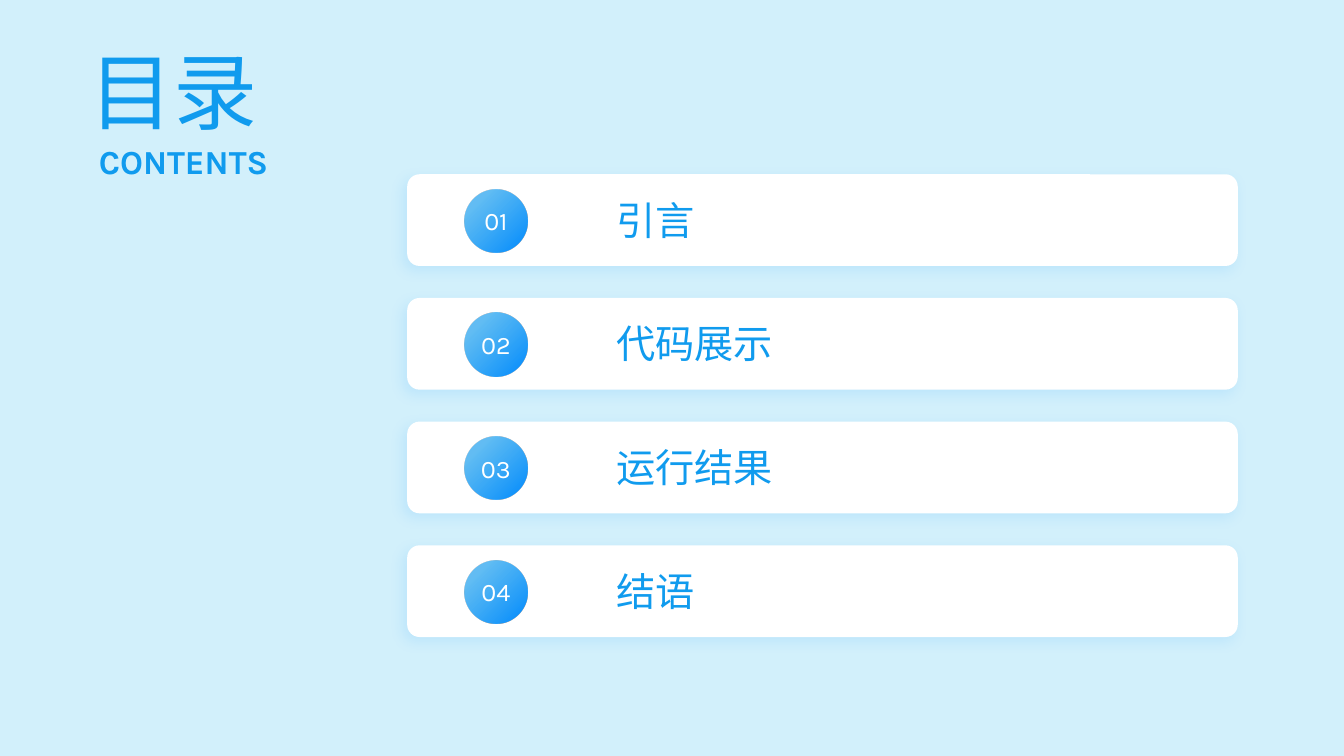
from lxml.etree import SubElement
from pptx import Presentation
from pptx.dml.color import RGBColor
from pptx.enum.shapes import MSO_SHAPE
from pptx.enum.text import MSO_ANCHOR, MSO_AUTO_SIZE, PP_ALIGN
from pptx.oxml import parse_xml
from pptx.oxml.ns import nsdecls, qn
from pptx.util import Inches, Pt

COLORS = {"sky": "D2F0FB", "azure": "109BEE", "blue": "018AFF", "white": "FFFFFF"}
FONT = "Karla"
CHAPTERS = ["引言", "代码展示", "运行结果", "结语"]

# Card grid, in hundredths of the slide's height
FIRST_ROW, ROW_STEP = 23.05, 16.36


class ContentsPage:
    """Holds the style and the current slide; places are in percent of its size."""

    def __init__(self, deck):
        self.column = deck.slide_width / 100
        self.row = deck.slide_height / 100
        self.page = deck.slides.add_slide(deck.slide_layouts[5])
        background = self.page.background.fill
        background.solid()
        background.fore_color.rgb = RGBColor.from_string(COLORS["sky"])

    def place(self, left, top, width, height):
        return (round(left * self.column), round(top * self.row),
                round(width * self.column), round(height * self.row))

    def set_text(self, box, text, size, anchor=MSO_ANCHOR.MIDDLE,
                 align=PP_ALIGN.LEFT, color=None, bold=False, wrap=True):
        frame = box.text_frame
        frame.margin_left = frame.margin_right = 0
        frame.margin_top = frame.margin_bottom = 0
        frame.auto_size = MSO_AUTO_SIZE.NONE
        frame.word_wrap = wrap
        frame.vertical_anchor = anchor
        para = frame.paragraphs[0]
        para.alignment = align
        span = para.add_run()
        span.text = text
        span.font.name = FONT
        span.font.size = Pt(size)
        span.font.bold = bold
        if color:
            span.font.color.rgb = RGBColor.from_string(COLORS[color])
        else:
            fill = span.font.fill
            fill.gradient()
            fill.gradient_angle = 270
            for stop, name in zip(fill.gradient_stops, ("azure", "blue")):
                stop.color.rgb = RGBColor.from_string(COLORS[name])
        return para

    def title(self, text, *area):
        box = self.page.shapes.title
        box.left, box.top, box.width, box.height = self.place(*area)
        para = self.set_text(box, text, 60, anchor=MSO_ANCHOR.BOTTOM)
        para.line_spacing = 0.9
        para.space_after = Pt(12)

    def label(self, text, size, *area, **style):
        box = self.page.shapes.add_textbox(*self.place(*area))
        self.set_text(box, text, size, **style)

    def card(self, *area):
        box = self.page.shapes.add_shape(MSO_SHAPE.ROUNDED_RECTANGLE, *self.place(*area))
        box.adjustments[0] = 0.134
        box.fill.solid()
        box.fill.fore_color.rgb = RGBColor.from_string(COLORS["white"])
        box.line.fill.background()
        # Soft blue shadow to the lower left
        box.shadow.inherit = False
        effects = box._element.spPr.find(qn("a:effectLst"))
        shadow = SubElement(effects, qn("a:outerShdw"), blurRad=str(Pt(9)),
                            dist=str(Pt(4)), dir="8100000", algn="tr", rotWithShape="0")
        color = SubElement(shadow, qn("a:srgbClr"), val=COLORS["blue"])
        SubElement(color, qn("a:alpha"), val="10000")

    def badge(self, text, *area):
        box = self.page.shapes.add_shape(MSO_SHAPE.OVAL, *self.place(*area))
        box.shadow.inherit = False
        box.line.fill.background()
        # Radial gradient that starts in the top left corner
        gradient = parse_xml(
            f'<a:gradFill {nsdecls("a")} rotWithShape="1"><a:gsLst>'
            f'<a:gs pos="20000"><a:srgbClr val="{COLORS["azure"]}">'
            '<a:alpha val="65000"/></a:srgbClr></a:gs>'
            f'<a:gs pos="100000"><a:srgbClr val="{COLORS["blue"]}"/></a:gs></a:gsLst>'
            '<a:path path="circle"><a:fillToRect r="100000" b="100000"/></a:path>'
            '</a:gradFill>')
        box._element.spPr.find(qn("a:prstGeom")).addnext(gradient)
        self.set_text(box, text, 18, align=PP_ALIGN.CENTER, color="white", wrap=False)


def main():
    deck = Presentation()
    deck.slide_width, deck.slide_height = Inches(13.33), Inches(7.5)
    contents = ContentsPage(deck)

    # Heading
    contents.title("目录", 6.68, 5.07, 15.23, 13.73)
    contents.label("CONTENTS", 24, 7.35, 18.67, 12.2, 5.2, bold=True, wrap=False)

    # One card per chapter
    for index, chapter in enumerate(CHAPTERS):
        top = FIRST_ROW + index * ROW_STEP
        contents.card(30.3, top, 61.8, 12.13)
        contents.badge(f"{index + 1:02}", 34.55, top + 2, 4.7, 8.33)
        contents.label(chapter, 28, 45.84, top + 1, 41.8, 10)

    deck.save("out.pptx")


if __name__ == "__main__":
    main()
